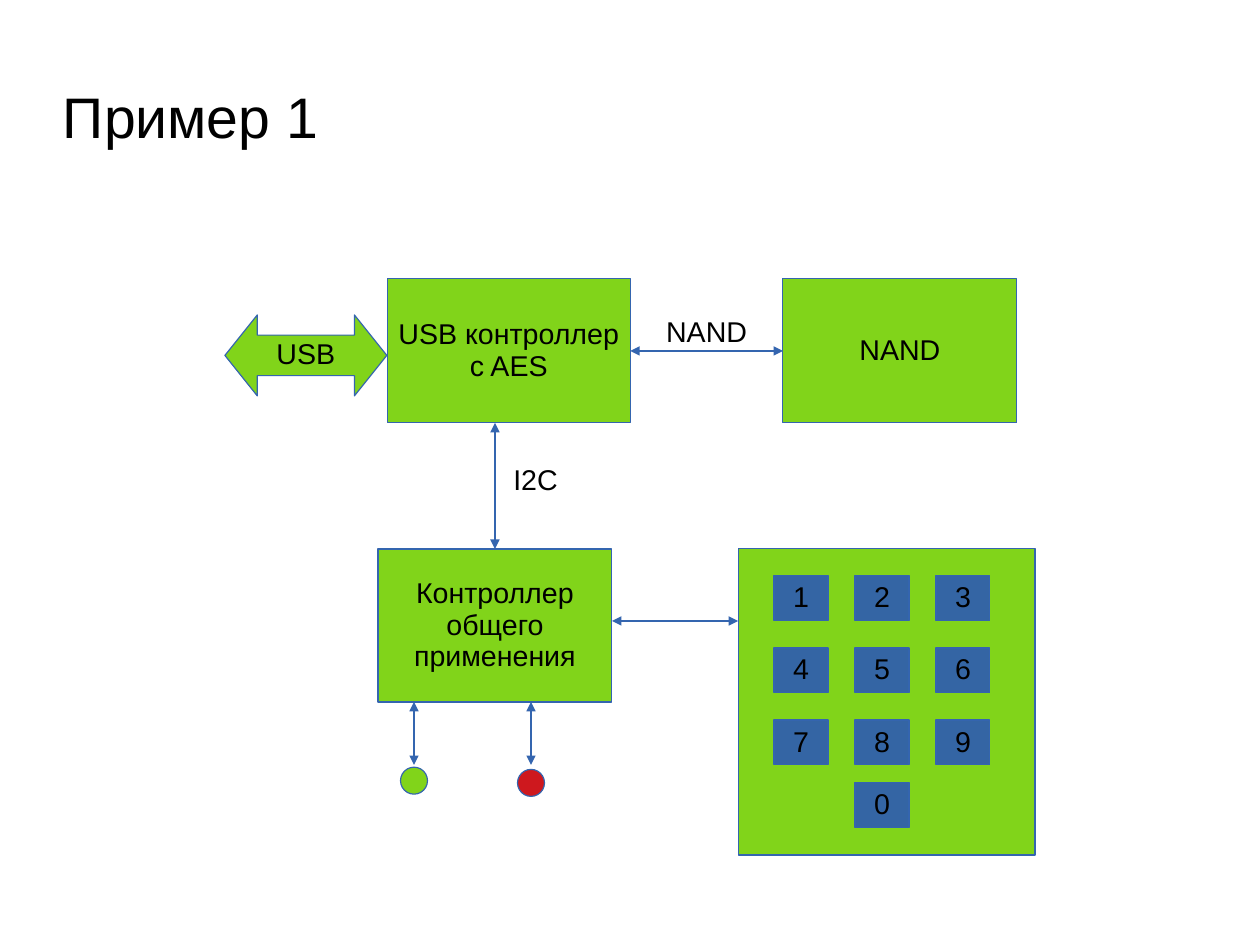
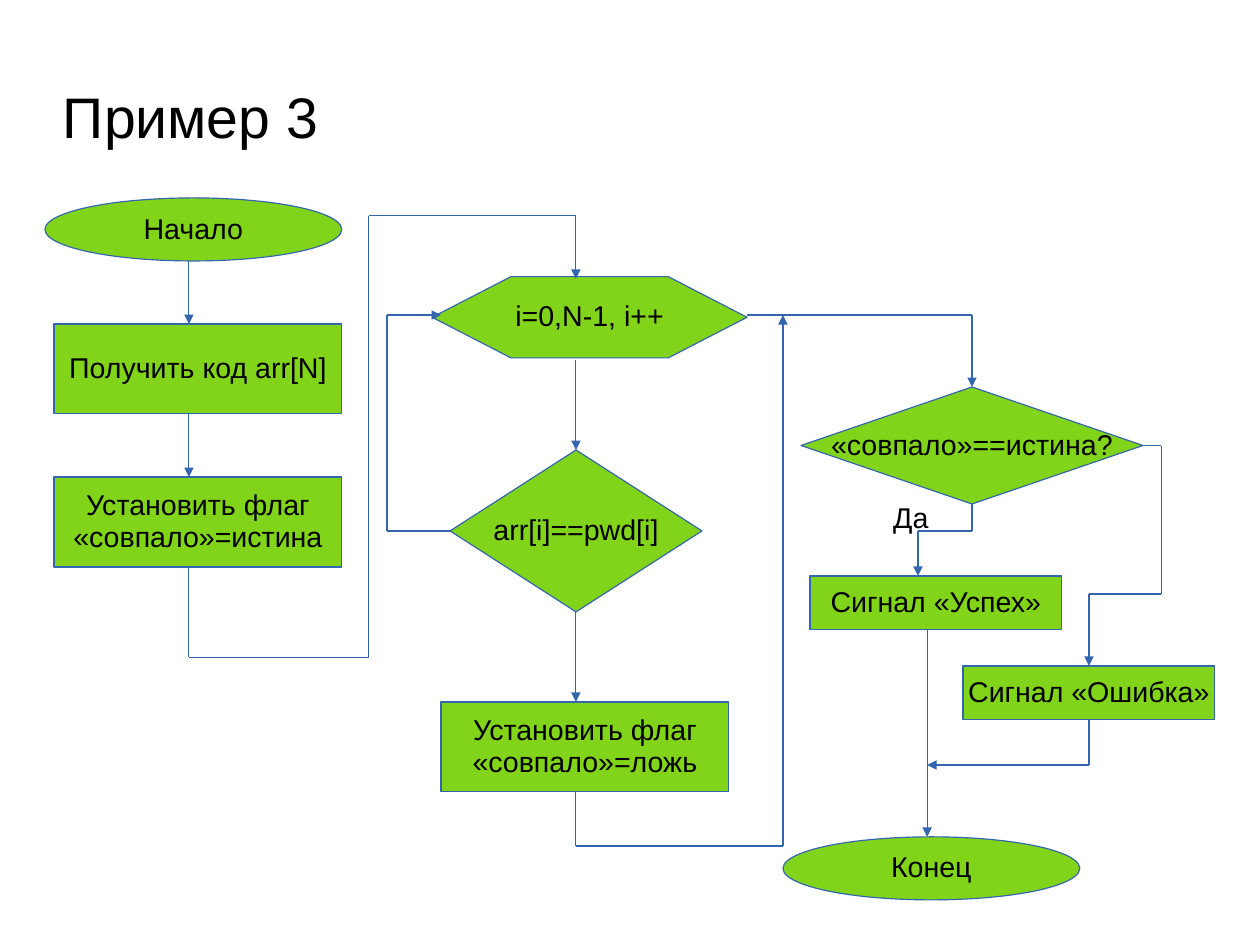
import itertools

import pptx
import pptx.dml.color
import pptx.enum.shapes
import pptx.enum.text
import pptx.oxml.ns
import pptx.util
from lxml import etree

Pt = pptx.util.Pt
RGBColor = pptx.dml.color.RGBColor
SHAPE = pptx.enum.shapes.MSO_SHAPE
ALIGN = pptx.enum.text.PP_ALIGN
ANCHOR = pptx.enum.text.MSO_ANCHOR
qn = pptx.oxml.ns.qn

# Shared look
GREEN = RGBColor(0x81, 0xD4, 0x1A)
RED = RGBColor(0xCE, 0x18, 0x1E)
KEY_BLUE = RGBColor(0x34, 0x65, 0xA4)
LINE_BLUE = RGBColor(0x34, 0x65, 0xAF)
BLACK = RGBColor(0, 0, 0)
LINE_WIDTH = Pt(0.75)
SLIDE_SIZE = (793.7, 595.3)
TITLE_BOX = (39.7, 45.4, 566.6, 56.7)

LABEL_FRAME = {"word_wrap": False, "vertical_anchor": ANCHOR.MIDDLE}
TITLE_FRAME = {
    "word_wrap": True,
    "vertical_anchor": ANCHOR.MIDDLE,
    "margin_left": 0,
    "margin_top": Pt(2.9),
    "margin_right": 0,
    "margin_bottom": 0,
}


def set_values(target, values):
    for name, value in values.items():
        setattr(target, name, value)


def points(*lengths):
    return [Pt(length) for length in lengths]


def write(shape, text, frame_format=LABEL_FRAME, size=18, align=ALIGN.CENTER):
    """Fill a shape with text, one paragraph per line."""
    frame = shape.text_frame
    frame.text = text
    set_values(frame, frame_format)
    for paragraph in frame.paragraphs:
        set_values(paragraph, {"alignment": align, "line_spacing": 0.93})
        for run in paragraph.runs:
            set_values(run.font, {"name": "Arial", "size": Pt(size)})
            run.font.color.rgb = BLACK


def add_label(slide, box, text, **text_format):
    write(slide.shapes.add_textbox(*points(*box)), text, **text_format)


def add_block(slide, kind, box, text="", fill=GREEN, adjustments=()):
    shape = slide.shapes.add_shape(kind, *points(*box))
    shape.shadow.inherit = False
    shape.fill.solid()
    shape.fill.fore_color.rgb = fill
    shape.line.color.rgb = LINE_BLUE
    shape.line.width = LINE_WIDTH
    for index, value in enumerate(adjustments):
        shape.adjustments[index] = value
    if text:
        write(shape, text)


def add_segment(slide, start, end, arrowheads=()):
    connector = slide.shapes.add_connector(
        pptx.enum.shapes.MSO_CONNECTOR.STRAIGHT, *points(*start, *end))
    connector.line.color.rgb = LINE_BLUE
    connector.line.width = LINE_WIDTH
    properties = connector.element.spPr
    outline = properties.find(qn("a:ln"))
    for tag in arrowheads:
        etree.SubElement(outline, qn(tag), type="triangle")
    etree.SubElement(properties, qn("a:effectLst"))


def add_route(slide, *corners):
    """Draw straight segments through the corners, with an arrow at the end."""
    for start, end in itertools.pairwise(corners):
        add_segment(slide, start, end, ["a:tailEnd"] if end == corners[-1] else [])


def add_two_way(slide, start, end):
    add_segment(slide, start, end, ["a:headEnd", "a:tailEnd"])


def add_titled_slide(presentation, title):
    slide = presentation.slides.add_slide(presentation.slide_layouts[6])
    add_label(slide, TITLE_BOX, title, frame_format=TITLE_FRAME, size=36, align=ALIGN.LEFT)
    return slide


def add_keypad(slide):
    add_block(slide, SHAPE.RECTANGLE, (465, 345.8, 187, 192.8))
    left, top, column_step, row_step = 487.6, 362.8, 51, 45.4
    for index in range(9):
        row, column = divmod(index, 3)
        box = (left + column * column_step, top + row * row_step, 34, 28.3)
        add_block(slide, SHAPE.RECTANGLE, box, str(index + 1), KEY_BLUE)
    add_block(slide, SHAPE.RECTANGLE, (left + column_step, 493.2, 34, 28.3), "0", KEY_BLUE)


def build_device_diagram(presentation):
    slide = add_titled_slide(presentation, "Пример 1")

    # Controllers, memory and USB port
    for box, text in [
        ((244, 175.7, 153, 90.7), "USB контроллер\nc AES"),
        ((493.2, 175.7, 147.4, 90.7), "NAND"),
        ((238.1, 345.8, 147.4, 96.4), "Контроллер\nобщего\nприменения"),
    ]:
        add_block(slide, SHAPE.RECTANGLE, box, text)
    add_block(slide, SHAPE.LEFT_RIGHT_ARROW, (141.7, 198.4, 102, 51), "USB",
              adjustments=(0.5, 0.4))
    add_keypad(slide)

    # Indicator lamps
    for center, top, color in [(260.8, 483.3, GREEN), (334.5, 484.7, RED)]:
        add_block(slide, SHAPE.OVAL, (center - 8.5, top, 17, 17), fill=color)
        add_two_way(slide, (center, 442.2), (center, 481.9))

    # Buses
    add_two_way(slide, (397, 221.1), (493.2, 221.1))
    add_two_way(slide, (311.8, 266.4), (311.8, 345.8))
    add_two_way(slide, (385.5, 391.2), (465, 391.2))
    add_label(slide, (400.1, 201.3, 90, 17), "NAND")
    add_label(slide, (311.8, 294.3, 51, 17), "I2C")


def build_flowchart(presentation):
    slide = add_titled_slide(presentation, "Пример 3")

    # Steps
    for kind, box, text in [
        (SHAPE.OVAL, (28.3, 124.7, 187, 39.7), "Начало"),
        (SHAPE.OVAL, (493.2, 527.2, 187, 39.7), "Конец"),
        (SHAPE.RECTANGLE, (34, 204.1, 181.4, 56.7), "Получить код arr[N]"),
        (SHAPE.RECTANGLE, (34, 300.5, 181.4, 56.7), "Установить флаг\n«совпало»=истина"),
        (SHAPE.RECTANGLE, (277.8, 442.2, 181.4, 56.7), "Установить флаг\n«совпало»=ложь"),
        (SHAPE.RECTANGLE, (510.2, 362.8, 158.7, 34), "Сигнал «Успех»"),
        (SHAPE.RECTANGLE, (606.6, 419.5, 158.7, 34), "Сигнал «Ошибка»"),
        (SHAPE.DIAMOND, (283.5, 283.5, 158.7, 102), "arr[i]==pwd[i]"),
        (SHAPE.DIAMOND, (504.6, 243.8, 215.4, 73.7), "«совпало»==истина?"),
    ]:
        add_block(slide, kind, box, text)
    add_block(slide, SHAPE.HEXAGON, (272.2, 174.3, 198.4, 51.2), "i=0,N-1, i++",
              adjustments=(0.97,))

    # Routes between the steps
    setup_x, loop_x, check_x, end_x, error_x = 119, 362.8, 612.3, 584, 686
    loop_y, branch_y = 198.5, 334.5
    for route in [
        [(setup_x, 164.4), (setup_x, 204.1)],
        [(setup_x, 260.8), (setup_x, 300.5)],
        [(setup_x, 357.2), (setup_x, 414), (232.4, 414), (232.4, 136),
         (loop_x, 136), (loop_x, 175.7)],
        [(loop_x, 226.8), (loop_x, 283.5)],
        [(loop_x, 385.5), (loop_x, 442.2)],
        [(283.5, branch_y), (243.8, branch_y), (243.8, loop_y), (277.8, loop_y)],
        [(loop_x, 498.9), (loop_x, 532.9), (493.2, 532.9), (493.2, loop_y)],
        [(470.6, loop_y), (check_x, loop_y), (check_x, 243.8)],
        [(check_x, 317.5), (check_x, branch_y), (578.3, branch_y), (578.3, 362.8)],
        [(end_x, 396.8), (end_x, 527.2)],
        [(720, 280.7), (731.4, 280.7), (731.4, 374.2), (error_x, 374.2), (error_x, 419.5)],
        [(error_x, 453.5), (error_x, 481.9), (end_x, 481.9)],
    ]:
        add_route(slide, *route)
    add_label(slide, (555.6, 312.6, 36.9, 28.3), "Да", align=ALIGN.LEFT)


def main():
    presentation = pptx.Presentation()
    presentation.slide_width, presentation.slide_height = points(*SLIDE_SIZE)
    build_device_diagram(presentation)
    build_flowchart(presentation)
    presentation.save("out.pptx")


if __name__ == "__main__":
    main()
